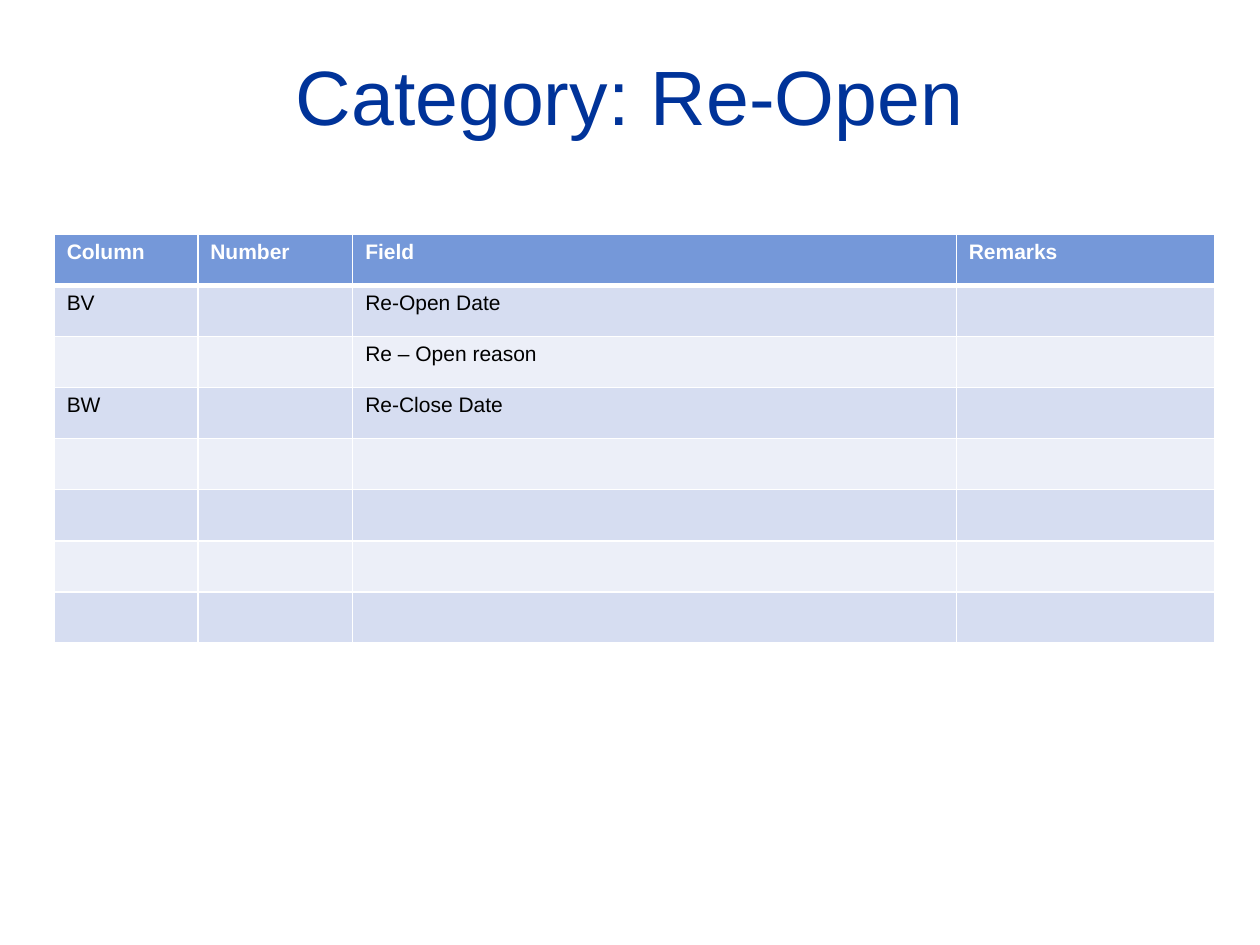
from lxml.etree import SubElement
from pptx import Presentation
from pptx.dml.color import RGBColor
from pptx.enum.text import MSO_ANCHOR, PP_ALIGN
from pptx.oxml.ns import qn
from pptx.util import Inches, Pt

# Content
TITLE = "Category: Re-Open"
ROWS = [
    ("Column", "Number", "Field", "Remarks"),
    ("BV", "", "Re-Open Date", ""),
    ("", "", "Re – Open reason", ""),
    ("BW", "", "Re-Close Date", ""),
] + [("",) * 4] * 4

# Layout and formats
COL_WIDTHS = (1.14, 1.23, 4.79, 2.05)
ROW_HEIGHT = 0.405
HEADER_FILL, BANDS = "7598D9", ("ECEFF8", "D6DDF1")
TITLE_FONT = {"name": "Arial", "size": Pt(44), "bold": False}
HEADER_FONT = {"name": "Arial", "size": Pt(12), "bold": True}
BODY_FONT = {**HEADER_FONT, "bold": False}


def rgb(value):
    return RGBColor.from_string(value)


def format_font(font, formats, color):
    for name, value in formats.items():
        setattr(font, name, value)
    font.color.rgb = rgb(color)


def add_borders(cell, widths, color="FFFFFF"):
    tcPr = cell._tc.get_or_add_tcPr()
    for side, width in widths.items():
        ln = SubElement(tcPr, qn(f"a:ln{side}"), w=str(Pt(width)))
        fill = SubElement(ln, qn("a:solidFill"))
        SubElement(fill, qn("a:srgbClr"), val=color)


prs = Presentation()
prs.slide_width, prs.slide_height = Inches(10), Inches(7.5)
s = prs.slides.add_slide(prs.slide_layouts[5])

# Title
title = s.shapes.title
title.left, title.top = Inches(0.5), Inches(0.28)
title.width, title.height = Inches(9), Inches(0.95)
tf = title.text_frame
tf.text = TITLE
tf.vertical_anchor = MSO_ANCHOR.MIDDLE
p = tf.paragraphs[0]
p.alignment = PP_ALIGN.CENTER
format_font(p.runs[0].font, TITLE_FONT, "003399")

# Table
table = s.shapes.add_table(
    len(ROWS), len(COL_WIDTHS), Inches(0.43), Inches(1.86),
    Inches(sum(COL_WIDTHS)), Inches(ROW_HEIGHT * len(ROWS))).table
for column, width in zip(table.columns, COL_WIDTHS):
    column.width = Inches(width)

for i, row in enumerate(ROWS):
    table.rows[i].height = Inches(ROW_HEIGHT)
    header = i == 0
    for j, text in enumerate(row):
        cell = table.cell(i, j)
        # Borders come before the fill in the cell properties
        add_borders(cell, {"L": 1, "R": 1, "T": 3 if i == 1 else 1,
                           "B": 3 if header else 1})
        cell.fill.solid()
        cell.fill.fore_color.rgb = rgb(HEADER_FILL if header else BANDS[i % 2])
        if text:
            cell.text = text
            format_font(cell.text_frame.paragraphs[0].runs[0].font,
                        HEADER_FONT if header else BODY_FONT,
                        "FFFFFF" if header else "000000")

prs.save("out.pptx")
